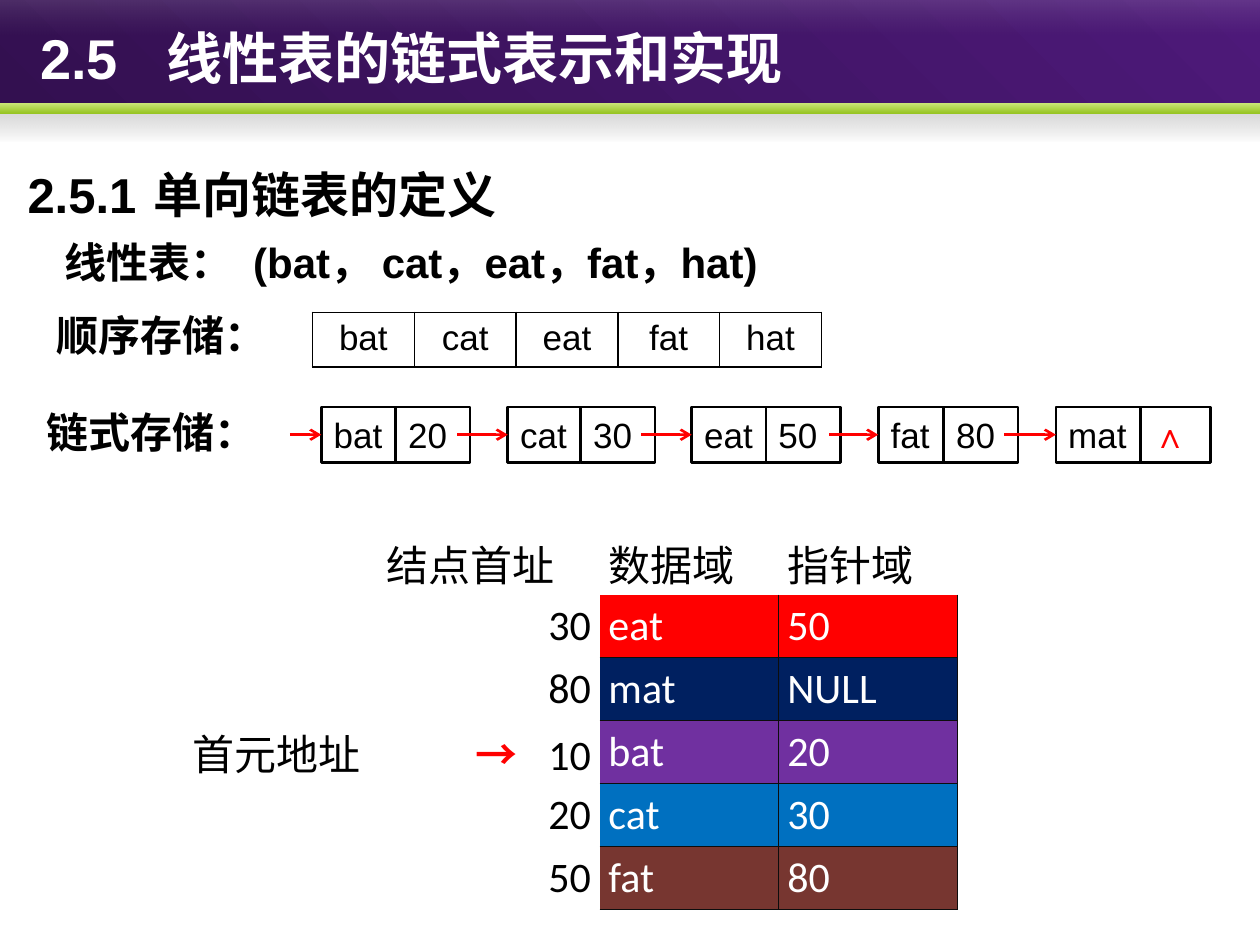
from lxml.etree import SubElement
from pptx import Presentation
from pptx.dml.color import RGBColor
from pptx.enum.shapes import MSO_CONNECTOR, MSO_SHAPE
from pptx.enum.text import MSO_ANCHOR, MSO_AUTO_SIZE, PP_ALIGN
from pptx.oxml.ns import qn
from pptx.util import Inches, Pt

color = RGBColor.from_string
CHINESE_FONT = "Noto Sans CJK SC"
BLACK, WHITE, RED = "000000", "FFFFFF", "FF0000"


def add_run(paragraph, text, size, font="Arial", hex_color=BLACK, bold=False):
    run = paragraph.add_run()
    run.text = text
    run.font.size = Pt(size)
    run.font.name = font
    run.font.bold = bold
    run.font.color.rgb = color(hex_color)
    SubElement(run._r.get_or_add_rPr(), qn("a:ea"), typeface=CHINESE_FONT)
    return run


def add_borders(cell, sides, hex_color):
    properties = cell._tc.get_or_add_tcPr()
    for side in sides:
        line = SubElement(properties, qn(f"a:ln{side}"), w=str(Pt(1)))
        fill = SubElement(line, qn("a:solidFill"))
        SubElement(fill, qn("a:srgbClr"), val=hex_color)


presentation = Presentation()
presentation.slide_width = Inches(10)
presentation.slide_height = Inches(7.5)
slide = presentation.slides.add_slide(presentation.slide_layouts[1])
shapes = slide.shapes

# Banner: top, height, angle, (colour, opacity in percent) from start to end
banner_bands = [
    (0, 0.9, 45, [("331050", 100), ("4D1979", 100)]),
    (0.88, 0.24, 270, [("808080", 33), ("5C5C5C", 0)]),
    (0.82, 0.08, 270, [("C9E576", 100), ("97C523", 100)]),
    (0, 0.28, 270, [("FFFFFF", 13), ("B6B6B6", 0)]),
]
for top, height, angle, stops in banner_bands:
    band = shapes.add_shape(MSO_SHAPE.RECTANGLE, 0, Inches(top), Inches(10), Inches(height))
    band.shadow.inherit = False
    band.line.fill.background()
    band.fill.gradient()
    band.fill.gradient_angle = angle
    for stop, (hex_color, opacity) in zip(band.fill.gradient_stops, stops):
        stop.color.rgb = color(hex_color)
    for element, (hex_color, opacity) in zip(band._element.iter(qn("a:srgbClr")), stops):
        if opacity < 100:
            SubElement(element, qn("a:alpha"), val=str(opacity * 1000))

# Title, section heading and list line; the title and list go above the banner
title, body = shapes.title, slide.placeholders[1]
for placeholder in (title, body):
    shapes._spTree.append(placeholder._element)
heading = shapes.add_textbox(0, 0, 0, 0)
text_lines = [
    (title, (0.1, 0, 9.9, 0.9), 0.22, 1, 0.97, 32, WHITE,
     [("2.5\t线性表的链式表示和实现", "Arial")]),
    (body, (0.41, 1.83, 6.64, 0.51), 0.1, 1, 1.71, 24, BLACK,
     [("线性表：\t", CHINESE_FONT), ("(bat， cat，eat，fat，hat)", "Arial")]),
    (heading, (0.12, 1.02, 6.91, 0.81), 0.1, 1.5, 1.18, 28, BLACK,
     [("2.5.1\t单向链表的定义", "Arial")]),
]
for shape, box, inset, spacing, tab, size, hex_color, runs in text_lines:
    shape.left, shape.top, shape.width, shape.height = map(Inches, box)
    frame = shape.text_frame
    frame.word_wrap = True
    frame.auto_size = MSO_AUTO_SIZE.NONE
    frame.margin_left = Inches(inset)
    paragraph = frame.paragraphs[0]
    paragraph.alignment = PP_ALIGN.LEFT
    paragraph.line_spacing = spacing
    paragraph.space_before = Pt(0)
    properties = paragraph._p.get_or_add_pPr()
    properties.set("marL", "0")
    properties.set("indent", "0")
    SubElement(properties, qn("a:buNone"))
    tabs = SubElement(properties, qn("a:tabLst"))
    SubElement(tabs, qn("a:tab"), pos=str(Inches(tab)), algn="l")
    for text, font in runs:
        add_run(paragraph, text, size, font, hex_color, True)
title.text_frame.vertical_anchor = MSO_ANCHOR.MIDDLE
body.text_frame.vertical_anchor = MSO_ANCHOR.TOP

# Storage labels
for text, left, top in [("顺序存储：", 0.35, 2.41), ("链式存储：", 0.27, 3.18)]:
    label = shapes.add_textbox(Inches(left), Inches(top), Inches(1.89), Inches(0.5))
    label.text_frame.word_wrap = False
    add_run(label.text_frame.paragraphs[0], text, 24, bold=True)

# Sequential storage
words = ["bat", "cat", "eat", "fat", "hat"]
array_table = shapes.add_table(1, len(words), Inches(2.48), Inches(2.48),
                               Inches(4.04), Inches(0.43)).table
for cell, word in zip(array_table.iter_cells(), words):
    add_borders(cell, "LRTB", BLACK)
    cell.fill.background()
    paragraph = cell.text_frame.paragraphs[0]
    paragraph.alignment = PP_ALIGN.CENTER
    add_run(paragraph, word, 20)

# Linked nodes: left, data width, pointer width, data, pointer, arrow start
nodes = [
    (2.55, 0.59, 0.59, "bat", "20", 2.3),
    (4.03, 0.58, 0.59, "cat", "30", 3.63),
    (5.49, 0.59, 0.59, "eat", "50", 5.09),
    (6.97, 0.52, 0.59, "fat", "80", 6.58),
    (8.38, 0.67, 0.56, "mat", "∧", 7.97),
]
node_top, node_height = 3.23, 0.44
node_middle = Inches(node_top + node_height / 2)
arrows = []
for left, data_width, pointer_width, data, pointer, arrow_start in nodes:
    fields = [(left, data_width, data), (left + data_width, pointer_width, pointer)]
    field_boxes = []
    for field_left, width, text in fields:
        field = shapes.add_shape(MSO_SHAPE.RECTANGLE, Inches(field_left), Inches(node_top),
                                 Inches(width), Inches(node_height))
        field.shadow.inherit = False
        field.fill.background()
        field.line.color.rgb = color(BLACK)
        field.line.width = Pt(1.5)
        field.text_frame.word_wrap = False
        paragraph = field.text_frame.paragraphs[0]
        paragraph.alignment = PP_ALIGN.LEFT
        is_end = text == "∧"
        add_run(paragraph, text, 20, hex_color=RED if is_end else BLACK, bold=is_end)
        field_boxes.append(field)
    arrows.append((arrow_start, field_boxes[0]))

# Arrows into each node
for arrow_start, data_box in arrows:
    arrow = shapes.add_connector(MSO_CONNECTOR.STRAIGHT, Inches(arrow_start), node_middle,
                                 data_box.left, node_middle)
    arrow.end_connect(data_box, 1)
    arrow.line.color.rgb = color(RED)
    arrow.line.width = Pt(1.5)
    SubElement(arrow.line._get_or_add_ln(), qn("a:tailEnd"), type="arrow")
    SubElement(arrow._element.spPr, qn("a:effectLst"))

# Memory table: row label, address, data, pointer, fill
memory_rows = [
    ("", "结点首址", "数据域", "指针域", None),
    ("", "30", "eat", "50", "FF0000"),
    ("", "80", "mat", "NULL", "002060"),
    ("首元地址", "10", "bat", "20", "7030A0"),
    ("", "20", "cat", "30", "0070C0"),
    ("", "50", "fat", "80", "773630"),
]
memory_table = shapes.add_table(len(memory_rows), 4, Inches(1.46), Inches(4.22),
                                Inches(6.14), Inches(3)).table
for column, width in zip(memory_table.columns, [1.54, 1.76, 1.42, 1.42]):
    column.width = Inches(width)
for row_index, (*texts, row_fill) in enumerate(memory_rows):
    for column_index, text in enumerate(texts):
        cell = memory_table.cell(row_index, column_index)
        cell.vertical_anchor = MSO_ANCHOR.MIDDLE
        cell.margin_left = cell.margin_right = Inches(0.07)
        cell.margin_top = cell.margin_bottom = 0
        filled = row_fill and column_index >= 2
        if filled:
            sides = "L" * (column_index == 3) + "R" + "T" * (row_index > 1) + "B"
            add_borders(cell, sides, "0D0D0D")
            cell.fill.solid()
            cell.fill.fore_color.rgb = color(row_fill)
        else:
            cell.fill.background()
        if not text:
            continue
        paragraph = cell.text_frame.paragraphs[0]
        is_address = row_fill and column_index == 1
        paragraph.alignment = PP_ALIGN.RIGHT if is_address else PP_ALIGN.JUSTIFY
        if is_address and texts[0]:
            pointer_run = add_run(paragraph, "→ ", 24, CHINESE_FONT, RED, True)
            pointer_run._r.get_or_add_rPr().set("spc", "600")
        add_run(paragraph, text, 24, "Calibri", WHITE if filled else BLACK)

# Both tables use the style without fills or grid
for table in (array_table, memory_table):
    table.first_row = table.horz_banding = False
    style = table._tbl.tblPr.find(qn("a:tableStyleId"))
    style.text = "{2D5ABB26-0587-4C30-8999-92F81FD0307C}"

presentation.save("out.pptx")
